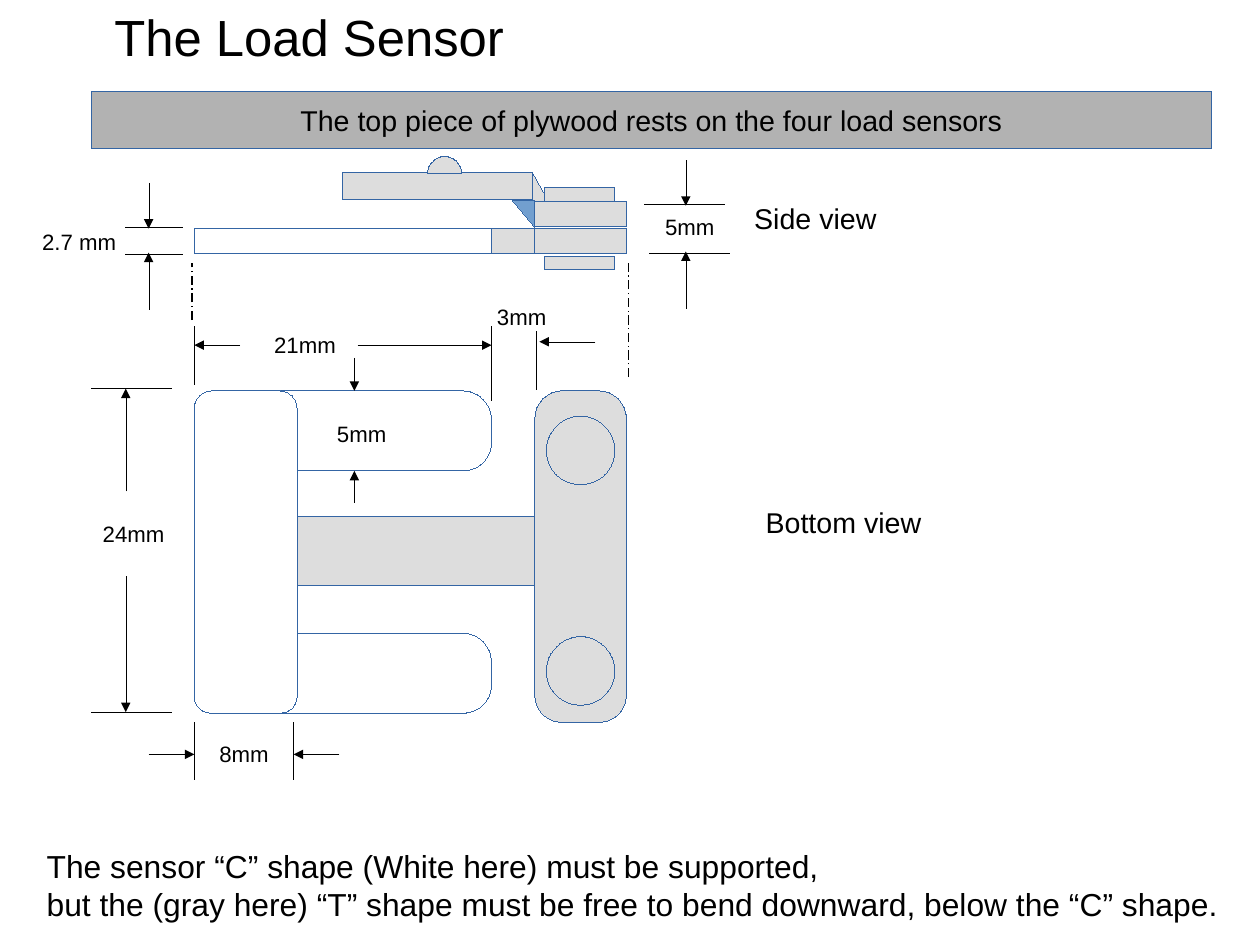
import math
from pptx import Presentation
from pptx import util as u
from pptx.dml.color import RGBColor
from pptx.enum import dml, shapes, text
from pptx.oxml.ns import qn
from lxml import etree


class Theme:
    font = "Arial"
    ink, edge = "000000", "3465A4"
    white, gray, banner, blue = "FFFFFF", "DDDDDD", "B2B2B2", "729FCF"
    title, caption, heading, label = 32, 20, 18, 14


S = shapes.MSO_SHAPE
RECT, ROUND, OVAL, TRI = S.RECTANGLE, S.ROUNDED_RECTANGLE, S.OVAL, S.RIGHT_TRIANGLE

TITLE = "The Load Sensor"
BANNER = "The top piece of plywood rests on the four load sensors"
CAPTION = ["The sensor “C” shape (White here) must be supported,",
           "but the (gray here) “T” shape must be free to bend downward, below the “C” shape."]

# Shared edges of the sensor, in inches
LEFT, ARM_END, T_LEFT = 1.7, 4.3, 4.68
TOP, ARM, BOTTOM = 3.42, 0.7, 6.24
T_WIDTH, PLATE = 0.8, 0.22

# Parts: kind, (left, top, width, height), fill, corner radius, rotation
BOTTOM_VIEW = [
    *[(ROUND, (LEFT, y, 2.6, ARM), Theme.white, 0.25, 0) for y in (TOP, BOTTOM - ARM)],
    (ROUND, (LEFT, TOP, 0.9, BOTTOM - TOP), Theme.white, 0.15, 0),
    (RECT, (2.6, 4.52, 2.4, 0.6), Theme.gray, 0, 0),
    (ROUND, (T_LEFT, TOP, T_WIDTH, 2.9), Theme.gray, 0.24, 0),
    *[(OVAL, (4.78, y, 0.6, 0.6), Theme.gray, 0, 0) for y in (3.64, 5.57)],
]
SIDE_VIEW = [
    (RECT, (LEFT, 2, 2.6, PLATE), Theme.white, 0, 0),
    (RECT, (ARM_END, 2, T_LEFT - ARM_END, PLATE), Theme.gray, 0, 0),
    *[(RECT, (T_LEFT, y, T_WIDTH, PLATE), Theme.gray, 0, 0) for y in (1.76, 2)],
    (RECT, (3, 1.51, 1.66, 0.24), Theme.gray, 0, 0),
    (TRI, (4.66, 1.51, 0.14, 0.25), Theme.gray, 0, 0),
    (TRI, (4.48, 1.75, 0.2, 0.24), Theme.blue, 0, 180),
    *[(RECT, (4.76, y, 0.62, 0.12), Theme.gray, 0, 0) for y in (1.64, 2.24)],
]
DOME = (3.89, 1.52, 0.15)  # centre x, base y, radius

# Labels: text, (left, top, width, height), size
LABELS = [
    ("Side view", (6.5, 1.71, 1.35, 0.38), Theme.heading),
    ("Bottom view", (6.6, 4.37, 1.65, 0.38), Theme.heading),
    ("2.7 mm", (0.27, 1.95, 0.92, 0.36), Theme.label),
    ("5mm", (5.72, 1.82, 0.76, 0.36), Theme.label),
    ("3mm", (4.25, 2.6, 1.03, 0.35), Theme.label),
    ("21mm", (2.3, 2.85, 1.03, 0.45), Theme.label),
    ("5mm", (2.85, 3.63, 0.76, 0.38), Theme.label),
    ("24mm", (0.8, 4.5, 0.87, 0.54), Theme.label),
    ("8mm", (1.82, 6.43, 0.92, 0.39), Theme.label),
]

# Lines: x1, y1, x2, y2 (arrows point at the second end)
EXTENSIONS = [
    *[(1.5, y, 0.8, y) for y in (3.4, 6.23)],
    *[(1.6, y, 1.1, y) for y in (1.99, 2.23)],
    (6.34, 1.79, 5.64, 1.79), (6.38, 2.22, 5.68, 2.22),
    *[(x, 6.82, x, 6.32) for x in (LEFT, 2.57)],
    (LEFT, 3.36, LEFT, 2.86), (ARM_END, 3.5, ARM_END, 2.86), (4.69, 3.41, 4.69, 2.9),
]
ARROWS = [
    (1.1, 4.3, 1.1, 3.4), (1.1, 5.04, 1.1, 6.23),
    (3.1, 3.13, 3.1, TOP), (3.1, 4.4, 3.1, TOP + ARM),
    (2.1, 3.02, LEFT, 3.02), (3.13, 3.02, ARM_END, 3.02),
    (1.3, 6.6, LEFT, 6.6), (2.97, 6.6, 2.57, 6.6),
    (1.3, 1.6, 1.3, 2), (1.3, 2.71, 1.3, 2.21),
    (6, 1.4, 6, 1.8), (6, 2.7, 6, 2.2),
    (5.21, 2.99, 4.72, 2.99),
]
PROJECTIONS = [(1.68, 2.8, 1.68, 2.3), (5.5, 3.3, 5.5, 2.3)]


def inches(values):
    return [u.Inches(v) for v in values]


def write(sp, lines, size=Theme.label, align=text.PP_ALIGN.LEFT, anchor=text.MSO_ANCHOR.TOP):
    tf = sp.text_frame
    tf.word_wrap = True
    tf.auto_size = text.MSO_AUTO_SIZE.NONE
    tf.vertical_anchor = anchor
    for i, line in enumerate(lines):
        p = tf.add_paragraph() if i else tf.paragraphs[0]
        p.alignment = align
        r = p.add_run()
        r.text = line
        r.font.name, r.font.size, r.font.bold = Theme.font, u.Pt(size), False
        r.font.color.rgb = RGBColor.from_string(Theme.ink)


def outline(sp, color, width=0):
    # Without the theme style a zero width stays a hairline
    style = sp._element.find(qn("p:style"))
    if style is not None:
        sp._element.remove(style)
    sp.line.color.rgb = RGBColor.from_string(color)
    sp.line.width = u.Pt(width)


def paint(sp, fill):
    sp.shadow.inherit = False
    sp.fill.solid()
    sp.fill.fore_color.rgb = RGBColor.from_string(fill)
    outline(sp, Theme.edge)


def add_part(s, kind, box, fill, radius=0, rotation=0):
    sp = s.shapes.add_shape(kind, *inches(box))
    if radius:
        sp.adjustments[0] = radius / min(box[2:])
    sp.rotation = rotation
    paint(sp, fill)
    return sp


def add_dome(s, cx, base, radius):
    arc = [(u.Inches(cx - radius * math.cos(math.radians(a))),
            u.Inches(base - radius * math.sin(math.radians(a)))) for a in range(0, 181, 6)]
    fb = s.shapes.build_freeform(*arc[0])
    fb.add_line_segments(arc[1:], close=True)
    paint(fb.convert_to_shape(), Theme.gray)


def add_line(s, ends, arrow=False, dash=None):
    c = s.shapes.add_connector(shapes.MSO_CONNECTOR.STRAIGHT, *inches(ends))
    outline(c, Theme.ink, width=0.75 if dash else 0)
    if dash:
        c.line.dash_style = dash
    props = c._element.spPr
    if arrow:
        etree.SubElement(props.find(qn("a:ln")), qn("a:tailEnd"), type="triangle")
    etree.SubElement(props, qn("a:effectLst"))


def add_text(s, lines, box, size):
    write(s.shapes.add_textbox(*inches(box)), lines, size=size)


def main():
    prs = Presentation()
    prs.slide_width = u.Cm(28)
    prs.slide_height = u.Cm(21)
    s = prs.slides.add_slide(prs.slide_layouts[5])

    # Title and plywood banner
    title = s.shapes.title
    title.left, title.top, title.width, title.height = inches((0.9, 0, 3.8, 0.6))
    write(title, [TITLE], size=Theme.title)
    banner = add_part(s, RECT, (0.8, 0.8, 9.8, 0.5), Theme.banner)
    write(banner, [BANNER], size=Theme.heading, align=text.PP_ALIGN.CENTER,
          anchor=text.MSO_ANCHOR.MIDDLE)

    # Sensor seen from below and from the side
    for part in BOTTOM_VIEW + SIDE_VIEW:
        add_part(s, *part)
    add_dome(s, *DOME)

    # Dimensions
    for ends in EXTENSIONS:
        add_line(s, ends)
    for ends in ARROWS:
        add_line(s, ends, arrow=True)
    for ends in PROJECTIONS:
        add_line(s, ends, dash=dml.MSO_LINE.LONG_DASH_DOT)

    # Labels and caption
    for label, box, size in LABELS:
        add_text(s, [label], box, size)
    add_text(s, CAPTION, (0.31, 7.36, 10.6, 0.73), Theme.caption)

    prs.save("out.pptx")


if __name__ == "__main__":
    main()
